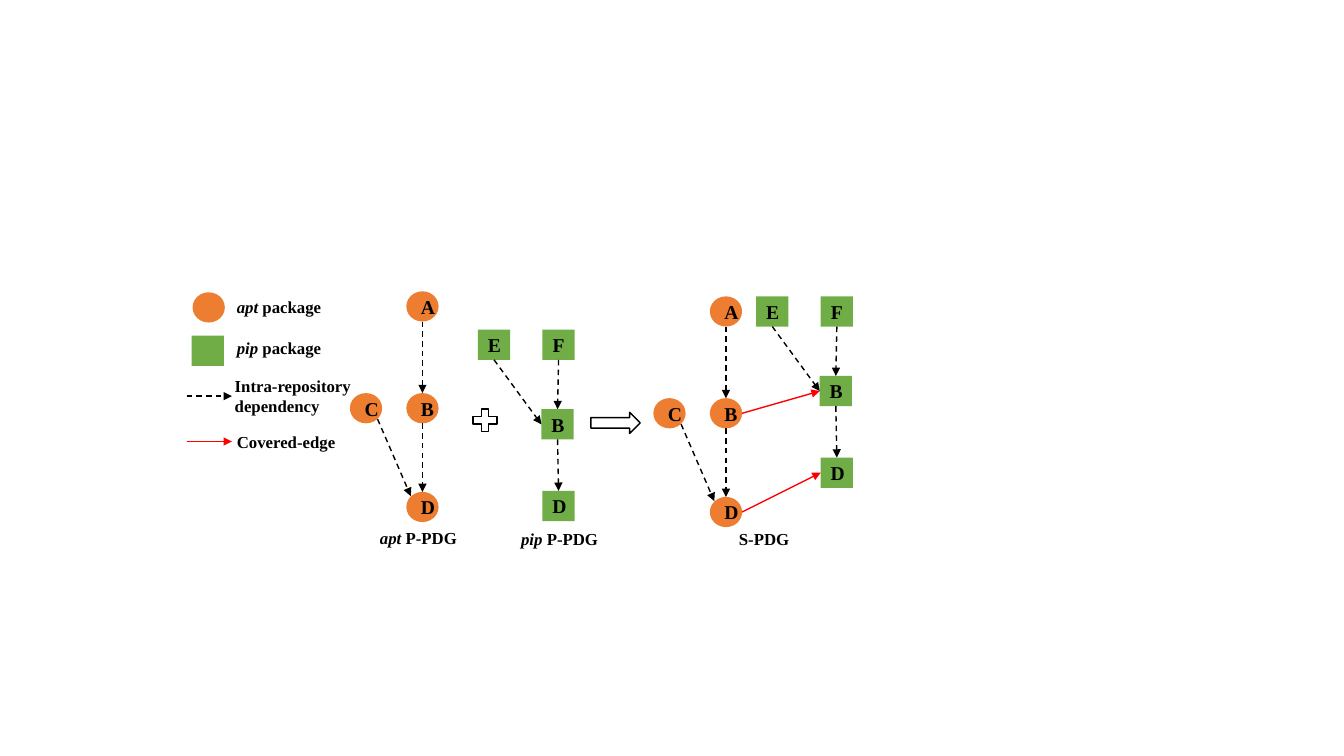
import pptx
import pptx.util
import pptx.dml.color
import pptx.enum.dml
import pptx.enum.shapes
import pptx.enum.text
from lxml import etree

Inches, Pt = pptx.util.Inches, pptx.util.Pt
SHAPE = pptx.enum.shapes.MSO_SHAPE
ORANGE, GREEN, BLACK, RED, WHITE = "ED7D31", "70AD47", "000000", "FF0000", "FFFFFF"
NODE_W, NODE_H = 0.32, 0.3


def paint(fill, color):
    fill.solid()
    fill.fore_color.rgb = pptx.dml.color.RGBColor.from_string(color)


def add_arrow(start, end, color):
    """Draw an arrow between two points in inches; black ones are dashed."""
    c = s.shapes.add_connector(pptx.enum.shapes.MSO_CONNECTOR.STRAIGHT,
                               *map(Inches, start + end))
    paint(c.line.fill, color)
    c.line.width = Pt(1)
    if color == BLACK:
        c.line.dash_style = pptx.enum.dml.MSO_LINE.DASH
    ns = "{http://schemas.openxmlformats.org/drawingml/2006/main}"
    ln = c.line._get_or_add_ln()
    etree.SubElement(ln, ns + "tailEnd", type="triangle")
    etree.SubElement(ln.getparent(), ns + "effectLst")
    return c


prs = pptx.Presentation()
prs.slide_width, prs.slide_height = Inches(13.33), Inches(7.5)
s = prs.slides.add_slide(prs.slide_layouts[6])
runs = []  # (run, size, italic)

# Each package graph appears alone and again inside the S-PDG.
apt_nodes = {"A": (0.56, 0), "B": (0.56, 1.01), "C": (0, 1.01), "D": (0.56, 1.99)}
pip_nodes = {"E": (0, 0), "F": (0.64, 0), "B": (0.63, 0.79), "D": (0.64, 1.6)}
graphs = [
    ("apt", SHAPE.OVAL, ORANGE, 3.47, 2.89, apt_nodes),
    ("pip", SHAPE.RECTANGLE, GREEN, 4.74, 3.27, pip_nodes),
    ("S apt", SHAPE.OVAL, ORANGE, 6.48, 2.94, apt_nodes),
    ("S pip", SHAPE.RECTANGLE, GREEN, 7.5, 2.94, pip_nodes),
]
shapes = [
    ("legend apt", "", SHAPE.OVAL, ORANGE, 1.91, 2.9, NODE_W, NODE_H),
    ("legend pip", "", SHAPE.RECTANGLE, GREEN, 1.9, 3.33, NODE_W, NODE_H),
    ("plus", "", SHAPE.MATH_PLUS, WHITE, 4.65, 4.02, NODE_W, NODE_H),
    ("result", "", SHAPE.RIGHT_ARROW, WHITE, 5.86, 4.09, 0.49, 0.21),
]
for graph, kind, color, left, top, nodes in graphs:
    for letter, (dx, dy) in nodes.items():
        shapes.append((graph, letter, kind, color, left + dx, top + dy, NODE_W, NODE_H))

placed = {}
for graph, letter, kind, color, x, y, w, h in shapes:
    sp = s.shapes.add_shape(kind, *map(Inches, (x, y, w, h)))
    sp.shadow.inherit = False
    paint(sp.fill, color)
    if color == WHITE:
        paint(sp.line.fill, BLACK)
        sp.line.width = Pt(1)
    else:
        sp.line.fill.background()
    placed[graph, letter] = sp, x, y
    if letter:
        p = sp.text_frame.paragraphs[0]
        p.alignment = pptx.enum.text.PP_ALIGN.CENTER
        r = p.add_run()
        r.text = letter
        runs.append((r, 14, False))

# Site: share of width, share of height, connection index on a rectangle
sites = {
    "top": (0.5, 0, 0), "left": (0, 0.5, 1),
    "bottom": (0.5, 1, 2), "right": (1, 0.5, 3),
    "upper left": (0.14, 0.14, None), "lower right": (0.86, 0.86, None),
}
apt_edges = [("A", "bottom", "B", "top"), ("B", "bottom", "D", "top"),
             ("C", "lower right", "D", "upper left")]
pip_edges = [("E", "bottom", "B", "left"), ("F", "bottom", "B", "top"),
             ("B", "bottom", "D", "top")]
edges = []
for prefix in ("", "S "):
    for graph, graph_edges in (("apt", apt_edges), ("pip", pip_edges)):
        for a, a_site, b, b_site in graph_edges:
            edges.append(((prefix + graph, a), a_site, (prefix + graph, b), b_site, BLACK))
for letter in "BD":
    edges.append((("S apt", letter), "right", ("S pip", letter), "left", RED))

for start, start_site, end, end_site, color in edges:
    points = []
    for node, site in ((start, start_site), (end, end_site)):
        sp, x, y = placed[node]
        points.append((x + NODE_W * sites[site][0], y + NODE_H * sites[site][1]))
    c = add_arrow(*points, color)
    for node, site, join in ((start, start_site, c.begin_connect),
                             (end, end_site, c.end_connect)):
        sp = placed[node][0]
        if sp.auto_shape_type == SHAPE.RECTANGLE:
            join(sp, sites[site][2])

for y, color in ((3.93, BLACK), (4.38, RED)):
    add_arrow((1.85, y), (2.3, y), color)

labels = [
    (2.25, 2.89, 1.71, 0.3, "apt", " package"),
    (2.25, 3.3, 1.71, 0.3, "pip", " package"),
    (2.23, 3.68, 1.4, 0.5, "", "Intra-repository dependency"),
    (2.25, 4.23, 1.71, 0.3, "", "Covered-edge"),
    (3.67, 5.19, 1.71, 0.3, "apt", " P-PDG"),
    (5.07, 5.2, 1.71, 0.3, "pip", " P-PDG"),
    (7.23, 5.2, 1.71, 0.3, "", "S-PDG"),
]
for x, y, w, h, manager, rest in labels:
    tf = s.shapes.add_textbox(*map(Inches, (x, y, w, h))).text_frame
    tf.word_wrap = True
    tf.auto_size = pptx.enum.text.MSO_AUTO_SIZE.SHAPE_TO_FIT_TEXT
    for text, italic in ((manager, True), (rest, False)):
        if text:
            r = tf.paragraphs[0].add_run()
            r.text = text
            runs.append((r, 12, italic))

for r, size, italic in runs:
    font = {"name": "Times New Roman", "size": Pt(size), "bold": True, "italic": italic}
    for attribute, value in font.items():
        setattr(r.font, attribute, value)
    paint(r.font.fill, BLACK)

prs.save("out.pptx")
